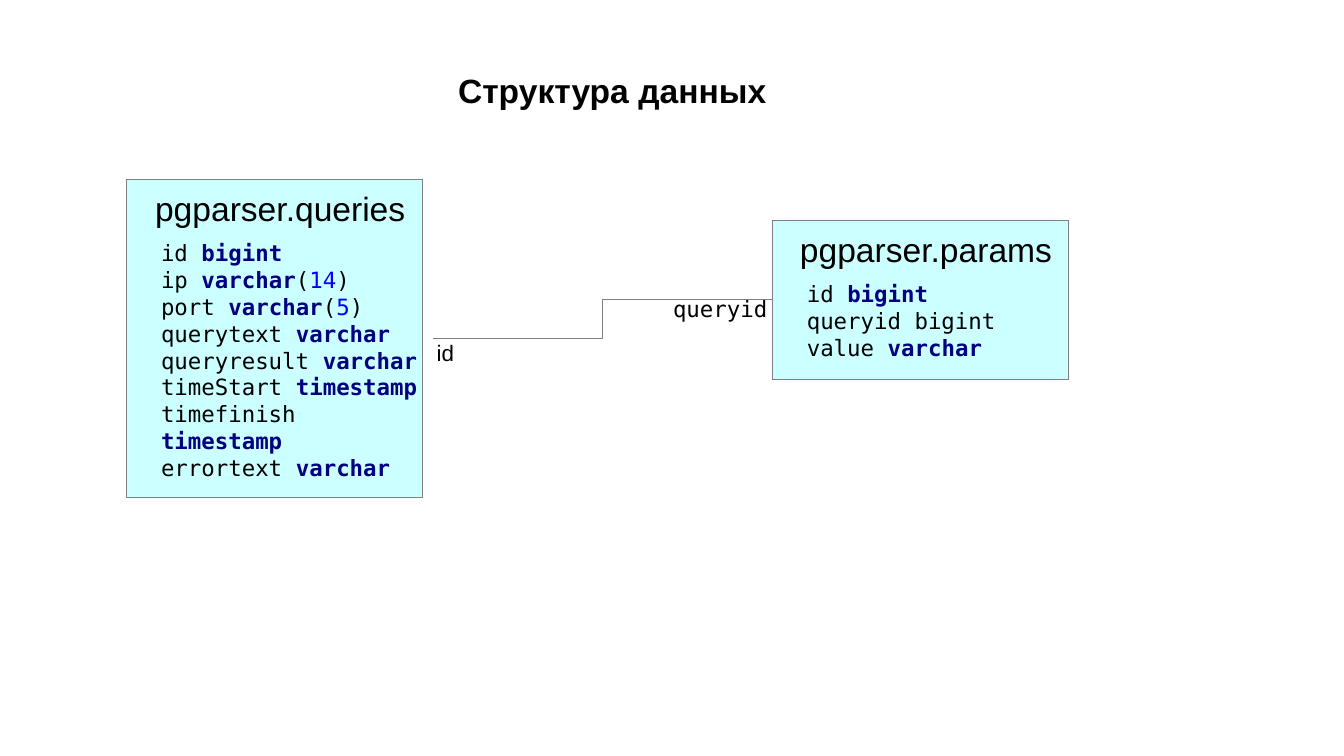
from lxml.etree import SubElement
from pptx import Presentation
from pptx.dml.color import RGBColor
from pptx.enum.shapes import MSO_CONNECTOR as CONNECTOR, MSO_SHAPE as SHAPE
from pptx.enum.text import MSO_AUTO_SIZE as AUTO_SIZE, PP_ALIGN as ALIGN
from pptx.oxml.ns import qn
from pptx.util import Pt

PX = 4572  # EMU per px, 200 px to the inch
COLORS = {"card": "CCFFFF", "line": "808080", "plain": "000000",
          "type": "000080", "number": "0000FF"}
SANS, MONO = "Arial", "DejaVu Sans Mono"

# Columns of each table, as (text, kind) spans
QUERIES = [
    [("id ", "plain"), ("bigint", "type")],
    [("ip ", "plain"), ("varchar", "type"), ("(", "plain"), ("14", "number"), (")", "plain")],
    [("port ", "plain"), ("varchar", "type"), ("(", "plain"), ("5", "number"), (")", "plain")],
    [("querytext ", "plain"), ("varchar", "type")],
    [("queryresult ", "plain"), ("varchar ", "type"),
     ("timeStart ", "plain"), ("timestamp", "type")],
    [("timefinish ", "plain"), ("timestamp", "type")],
    [("errortext ", "plain"), ("varchar", "type")],
]
PARAMS = [
    [("id ", "plain"), ("bigint", "type")],
    [("queryid bigint", "plain")],
    [("value ", "plain"), ("varchar", "type")],
]


def px(*lengths):
    return [length * PX for length in lengths]


def color(name):
    return RGBColor.from_string(COLORS[name])


def set_hairline(shape):
    """Give a shape the thinnest line; a zero width must be written out."""
    shape.line.color.rgb = color("line")
    shape.element.spPr.find(qn("a:ln")).set("w", "0")


def add_text(shapes, area, lines, font=SANS, size=12, bold=False, wrap=False, align=ALIGN.LEFT):
    """Add a text box; each line is a list of (text, kind) spans."""
    box = shapes.add_textbox(*px(*area))
    frame = box.text_frame
    frame.word_wrap = wrap
    frame.auto_size = AUTO_SIZE.SHAPE_TO_FIT_TEXT
    for index, line in enumerate(lines):
        para = frame.add_paragraph() if index else frame.paragraphs[0]
        para.alignment = align
        para.font.name, para.font.size = font, Pt(size)
        for text, kind in line:
            span = para.add_run()
            span.text = text
            span.font.bold = bold or kind == "type"
            span.font.color.rgb = color(kind)


def add_table_card(shapes, left, top, height, name, columns):
    """Add a database table: a filled card with its name and columns."""
    card = shapes.add_shape(SHAPE.RECTANGLE, *px(left, top, 441, height))
    card.shadow.inherit = False
    card.fill.solid()
    card.fill.fore_color.rgb = color("card")
    set_hairline(card)
    add_text(shapes, (left + 32, top + 79, 426, height - 100), columns, font=MONO, wrap=True)
    add_text(shapes, (left + 16, top + 3, 426, 76), [[(name, "plain")]],
             size=18, wrap=True, align=ALIGN.CENTER)


def add_relation(shapes, start, end):
    """Add a bent line between two tables."""
    relation = shapes.add_connector(CONNECTOR.ELBOW, *px(*start, *end))
    set_hairline(relation)
    SubElement(relation.element.spPr, qn("a:effectLst"))


def main():
    deck = Presentation()
    deck.slide_width, deck.slide_height = px(2000, 1125)
    page = deck.slides.add_slide(deck.slide_layouts[6])
    shapes = page.shapes

    # Tables
    queries = shapes.add_group_shape().shapes
    add_table_card(queries, 188, 267, 473, "pgparser.queries", QUERIES)
    add_table_card(shapes, 1149, 328, 237, "pgparser.params", PARAMS)

    # Title
    add_text(shapes, (662, 94, 504, 78), [[("Структура данных", "plain")]], size=18, bold=True)

    # Relation and its keys
    add_relation(shapes, (645, 504), (1149, 446))
    add_text(shapes, (630, 495, 66, 58), [[("id", "plain")]])
    add_text(shapes, (982, 430, 180, 58), [[("queryid", "plain")]], font=MONO)

    deck.save("out.pptx")


if __name__ == "__main__":
    main()
